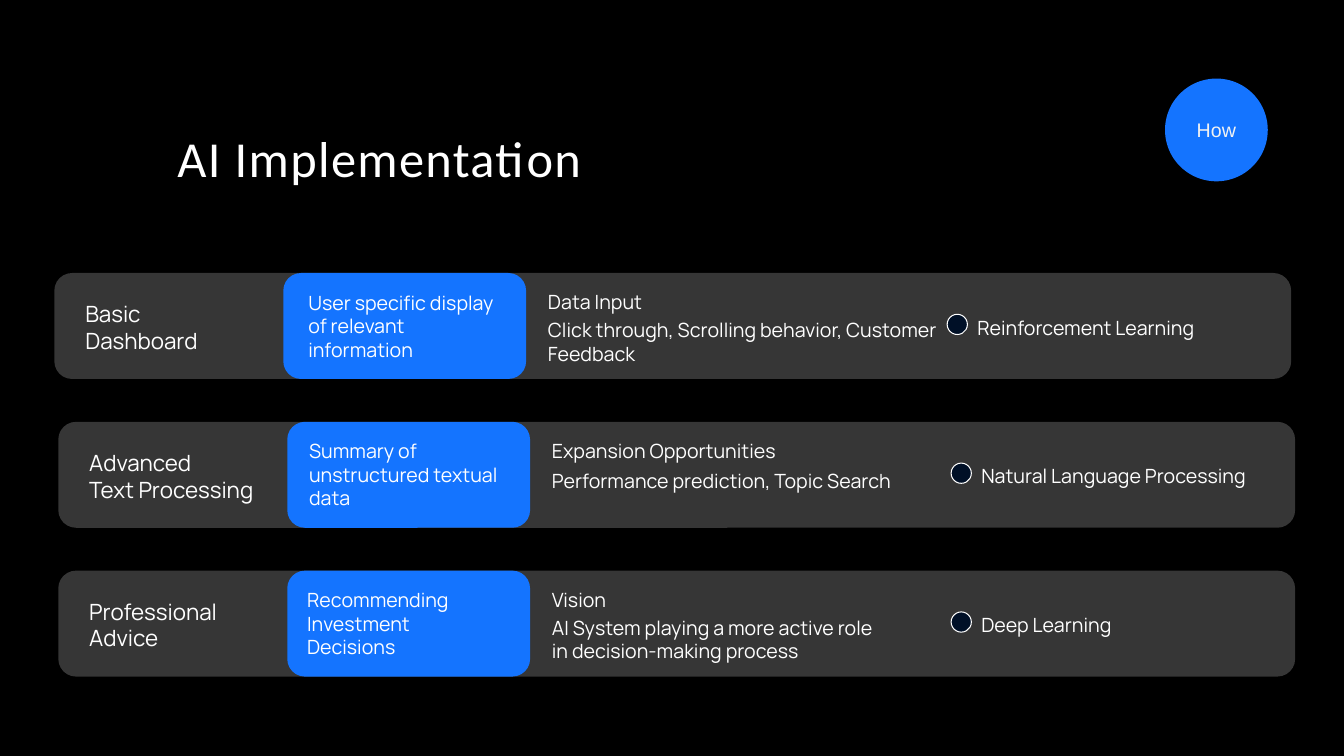
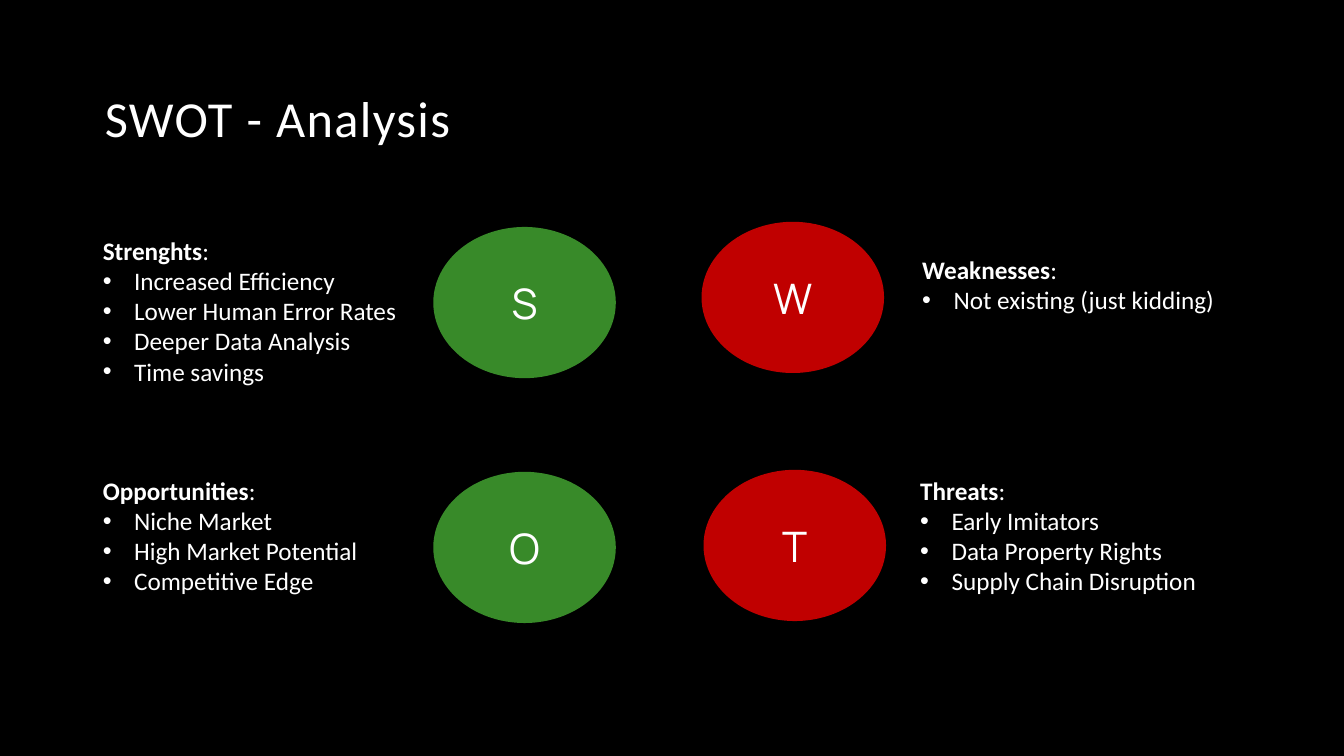
from dataclasses import dataclass

from lxml import etree
from pptx import Presentation
from pptx.dml.color import RGBColor
from pptx.enum.shapes import MSO_SHAPE
from pptx.enum.text import MSO_ANCHOR, MSO_AUTO_SIZE, PP_ALIGN
from pptx.oxml.ns import qn
from pptx.util import Cm, Pt

OVAL, ROUNDED = MSO_SHAPE.OVAL, MSO_SHAPE.ROUNDED_RECTANGLE
TOP, MIDDLE, BOTTOM = MSO_ANCHOR.TOP, MSO_ANCHOR.MIDDLE, MSO_ANCHOR.BOTTOM
LEFT, CENTER = PP_ALIGN.LEFT, PP_ALIGN.CENTER
NO_FIT = MSO_AUTO_SIZE.NONE
TITLE_ONLY, COMPARISON = 5, 4  # layout numbers


@dataclass(frozen=True)
class Theme:
    black: str = "000000"
    white: str = "FFFFFF"
    pale: str = "F2F2F2"
    blue: str = "1474FF"
    navy: str = "001027"
    green: str = "388A29"
    red: str = "C00000"
    heading: str = "Calibri"
    body: str = "Manrope"
    badge: str = "Arial"
    title_size: int = 36
    letter_size: int = 30
    list_size: int = 18
    label_size: int = 16
    text_size: int = 14
    band_alpha: int = 21


T = Theme()


@dataclass(frozen=True)
class Box:
    """Left, top, width and height in centimetres."""
    x: float
    y: float
    w: float
    h: float

    def lengths(self) -> tuple:
        return Cm(self.x), Cm(self.y), Cm(self.w), Cm(self.h)


@dataclass(frozen=True)
class Stage:
    x: float
    label: tuple
    benefit: str
    benefit_dx: float
    heading: str
    detail: str
    detail_dy: float
    detail_w: float
    method: str


@dataclass(frozen=True)
class Quadrant:
    name: str
    color: str
    oval_x: float
    oval_y: float
    text: Box
    items: tuple


# Content
BAND_TOP, BAND_PITCH, BAND_W, BAND_H = 6.88, 3.75, 31.17, 2.67
STAGES = (
    Stage(1.37, ("Basic", "Dashboard"),
          "User specific display of relevant information", 6.15,
          "Data Input", "Click through, Scrolling behavior, Customer Feedback",
          1.04, 10.44, "Reinforcement Learning"),
    Stage(1.47, ("Advanced", "Text Processing"),
          "Summary of unstructured textual data", 6.07,
          "Expansion Opportunities", "Performance prediction, Topic Search",
          0.81, 10.44, "Natural Language Processing"),
    Stage(1.47, ("Professional", "Advice"),
          "Recommending Investment Decisions", 6.02,
          "Vision", "AI System playing a more active role in decision-making process",
          1.04, 8.99, "Deep Learning"),
)

OVAL_W, OVAL_H = 4.6, 3.81
QUADRANTS = (
    Quadrant("Strenghts", T.green, 10.92, 5.72, Box(2.34, 5.79, 8.61, 4.11),
             ("Increased Efficiency", "Lower Human Error Rates",
              "Deeper Data Analysis", "Time savings")),
    Quadrant("Weaknesses", T.red, 17.68, 5.59, Box(22.99, 6.27, 8.53, 1.8),
             ("Not existing (just kidding)",)),
    Quadrant("Opportunities", T.green, 10.92, 11.89, Box(2.34, 11.84, 8, 4.11),
             ("Niche Market", "High Market Potential", "Competitive Edge")),
    Quadrant("Threats", T.red, 17.73, 11.84, Box(22.94, 11.84, 8, 4.11),
             ("Early Imitators", "Data Property Rights", "Supply Chain Disruption")),
)


# Helpers
def rgb(color: str) -> RGBColor:
    return RGBColor.from_string(color)


def add_run(p, text: str, size: int, font: str, color: str = T.white, bold: bool = False):
    r = p.add_run()
    r.text = text
    r.font.size, r.font.name, r.font.bold = Pt(size), font, bold
    r.font.color.rgb = rgb(color)
    return r


def set_frame(tf, anchor, inset: float = 0.25) -> None:
    tf.word_wrap, tf.auto_size, tf.vertical_anchor = True, NO_FIT, anchor
    tf.margin_left = tf.margin_right = Cm(0.25)
    tf.margin_top = tf.margin_bottom = Cm(inset)


def place(sp, box: Box) -> None:
    sp.left, sp.top, sp.width, sp.height = box.lengths()


def add_shape(slide, kind, box: Box, color: str, alpha: int = 100, outline: bool = False):
    sp = slide.shapes.add_shape(kind, *box.lengths())
    sp.shadow.inherit = False
    sp.fill.solid()
    sp.fill.fore_color.rgb = rgb(color)
    if alpha < 100:
        clr = sp.fill._xPr.find(".//" + qn("a:srgbClr"))
        etree.SubElement(clr, qn("a:alpha")).set("val", str(alpha * 1000))
    if outline:
        sp.line.color.rgb, sp.line.width = rgb(T.white), Pt(0.75)
    else:
        sp.line.fill.background()
    return sp


def add_circle(slide, box: Box, color: str, text: str, size: int, font: str,
               text_color: str = T.white) -> None:
    tf = add_shape(slide, OVAL, box, color).text_frame
    set_frame(tf, MIDDLE)
    p = tf.paragraphs[0]
    p.alignment = CENTER
    add_run(p, text, size, font, text_color)


def add_text(slide, box: Box, *lines: str, size: int = T.text_size) -> None:
    tf = slide.shapes.add_textbox(*box.lengths()).text_frame
    set_frame(tf, MIDDLE)
    for i, line in enumerate(lines):
        p = tf.add_paragraph() if i else tf.paragraphs[0]
        add_run(p, line, size, T.body)


def add_slide(prs, layout: int, title: str, x: float, y: float):
    slide = prs.slides.add_slide(prs.slide_layouts[layout])
    sp = slide.shapes.title
    place(sp, Box(x, y, 25.4, 3.81))
    set_frame(sp.text_frame, BOTTOM, 0.13)
    p = sp.text_frame.paragraphs[0]
    p.alignment, p.line_spacing = LEFT, 0.9
    r = add_run(p, title, T.title_size, T.heading)
    r.font._element.set("spc", "100")
    return slide


def set_bullet(p, shown: bool) -> None:
    pPr = p._p.get_or_add_pPr()
    indent = Cm(0.79) if shown else 0
    pPr.set("marL", str(indent))
    pPr.set("indent", str(-indent))
    if shown:
        etree.SubElement(pPr, qn("a:buFont")).set("typeface", "Arial")
        etree.SubElement(pPr, qn("a:buChar")).set("char", "•")
    else:
        etree.SubElement(pPr, qn("a:buNone"))
    p.alignment, p.line_spacing = LEFT, 1.0
    p.space_before = p.space_after = Pt(0)


def fill_list(sp, quad: Quadrant) -> None:
    place(sp, quad.text)
    tf = sp.text_frame
    set_frame(tf, TOP, 0.13)
    p = tf.paragraphs[0]
    set_bullet(p, False)
    add_run(p, quad.name, T.list_size, T.heading, bold=True)
    add_run(p, ":", T.list_size, T.heading)
    for item in quad.items:
        p = tf.add_paragraph()
        set_bullet(p, True)
        add_run(p, item, T.list_size, T.heading)


def add_stage(slide, stage: Stage, y: float) -> None:
    x = stage.x
    add_shape(slide, ROUNDED, Box(x, y, BAND_W, BAND_H), T.white, T.band_alpha)
    add_shape(slide, ROUNDED, Box(x + 5.77, y, 6.12, BAND_H), T.blue)
    add_shape(slide, OVAL, Box(x + 22.5, y + 1.04, 0.51, 0.51), T.navy, outline=True)
    add_text(slide, Box(x + 0.53, y + 0.6, 5, 1.52), *stage.label, size=T.label_size)
    add_text(slide, Box(x + stage.benefit_dx, y + 0.72, 5.36, 1.22), stage.benefit)
    add_text(slide, Box(x + 12.19, y + 0.11, 8.4, 1.22), stage.heading)
    add_text(slide, Box(x + 12.19, y + stage.detail_dy, stage.detail_w, 1.37), stage.detail)
    add_text(slide, Box(x + 23.01, y + 0.77, 8.08, 1.19), stage.method)


# Slides
def build_implementation(prs) -> None:
    slide = add_slide(prs, TITLE_ONLY, "AI Implementation", 4.22, 1.07)
    add_circle(slide, Box(29.36, 1.98, 2.59, 2.59), T.blue, "How",
               T.text_size, T.badge, T.pale)
    for i, stage in enumerate(STAGES):
        add_stage(slide, stage, BAND_TOP + i * BAND_PITCH)


def build_swot(prs) -> None:
    slide = add_slide(prs, COMPARISON, "SWOT - Analysis", 2.39, 0.05)
    for idx, quad in enumerate(QUADRANTS, start=1):
        add_circle(slide, Box(quad.oval_x, quad.oval_y, OVAL_W, OVAL_H), quad.color,
                   quad.name[0], T.letter_size, T.body)
        fill_list(slide.placeholders[idx], quad)


def main() -> None:
    prs = Presentation()
    prs.slide_width, prs.slide_height = Cm(33.87), Cm(19.05)
    bg = prs.slide_master.background.fill
    bg.solid()
    bg.fore_color.rgb = rgb(T.black)
    build_implementation(prs)
    build_swot(prs)
    prs.save("out.pptx")


if __name__ == "__main__":
    main()
